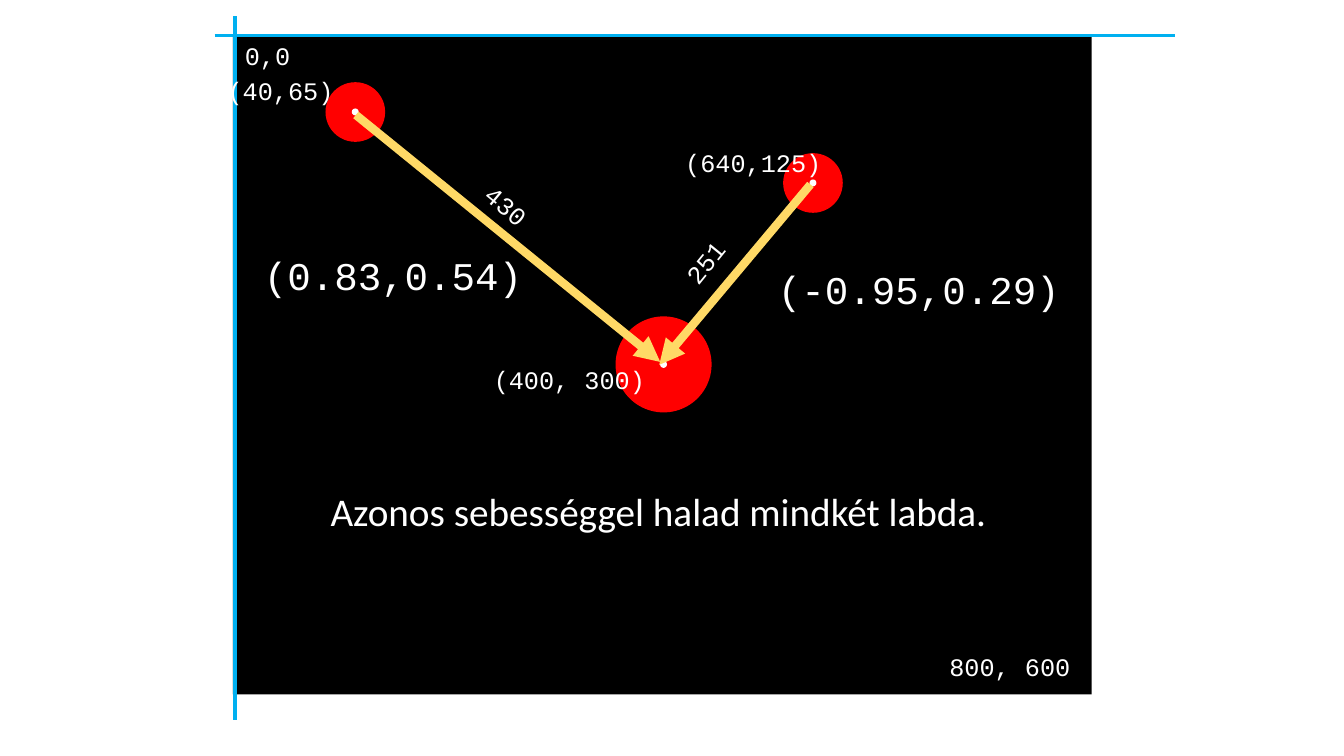
"""Slide with two balls moving toward a common target in screen coordinates."""
from lxml import etree
from pptx import Presentation
from pptx.dml import color
from pptx.enum import shapes, text
from pptx.oxml import ns
from pptx.util import Pt

COLORS = {"screen": "000000", "ball": "FF0000", "axis": "00B0F0",
          "arrow": "FFD966", "light": "FFFFFF"}

presentation = Presentation()
presentation.slide_width, presentation.slide_height = Pt(960), Pt(540)
slide = presentation.slides.add_slide(presentation.slide_layouts[6])


def add_filled(kind, left, top, width, height, fill):
    shape = slide.shapes.add_shape(kind, Pt(left), Pt(top), Pt(width), Pt(height))
    shape.shadow.inherit = False
    shape.fill.solid()
    shape.fill.fore_color.rgb = color.RGBColor.from_string(COLORS[fill])
    shape.line.fill.background()


def add_line(start, end, stroke, width):
    line = slide.shapes.add_connector(
        shapes.MSO_CONNECTOR.STRAIGHT, *(Pt(value) for value in (*start, *end)))
    line.line.color.rgb = color.RGBColor.from_string(COLORS[stroke])
    line.line.width = Pt(width)
    etree.SubElement(line._element.spPr, ns.qn("a:effectLst"))
    return line


add_filled(shapes.MSO_SHAPE.RECTANGLE, 166.3, 25.9, 613.4, 470.2, "screen")

target, right_ball, left_ball = (474, 260.3), (580.7, 130.7), (253.8, 80)
circles = [(target, 68.6, "ball"), (right_ball, 42.6, "ball"), (left_ball, 42.6, "ball")]
circles += [(center, 5, "light") for center in (target, right_ball, left_ball)]
for (x, y), diameter, fill in circles:
    add_filled(shapes.MSO_SHAPE.OVAL, x - diameter / 2, y - diameter / 2,
               diameter, diameter, fill)

add_line((167.8, 11.5), (167.8, 514), "axis", 3)
add_line((153.4, 25.2), (839.5, 25.2), "axis", 2.25)

for start, end in [((578.9, 131.8), (470.9, 260.6)), ((254.2, 82.1), (471.6, 258.5))]:
    arrow = add_line(start, end, "arrow", 6)
    etree.SubElement(arrow.line._get_or_add_ln(), ns.qn("a:tailEnd"), type="triangle")

labels = [
    ("0,0", 167.8, 25.2, 46.8, 18, "Courier New", 0),
    ("800, 600", 671, 461.5, 101.5, 18, "Courier New", 0),
    ("(640,125)", 482.4, 101.5, 112.3, 18, "Courier New", 0),
    ("(400, 300)", 345.6, 257, 123.1, 18, "Courier New", 0),
    ("(40,65)", 155.5, 50.4, 90.7, 18, "Courier New", 0),
    ("(-0.95,0.29)", 548.6, 185.8, 217.4, 28, "Courier New", 0),
    ("(0.83,0.54)", 181.4, 175.7, 200.9, 28, "Courier New", 0),
    ("Azonos sebességgel halad mindkét labda.", 229, 344.9, 488.2, 28, "Calibri", 0),
    ("251", 480.2, 172.8, 46.8, 18, "Courier New", 309.1),
    ("430", 338.4, 132.5, 46.8, 18, "Courier New", 39.5),
]
for wording, left, top, width, size, font, rotation in labels:
    height = 29 if size == 18 else 41
    label = slide.shapes.add_textbox(Pt(left), Pt(top), Pt(width), Pt(height))
    label.rotation = rotation
    label.text_frame.word_wrap = False
    label.text_frame.auto_size = text.MSO_AUTO_SIZE.SHAPE_TO_FIT_TEXT
    run = label.text_frame.paragraphs[0].add_run()
    run.text = wording
    run.font.name, run.font.size = font, Pt(size)
    run.font.color.rgb = color.RGBColor.from_string(COLORS["light"])

presentation.save("out.pptx")
